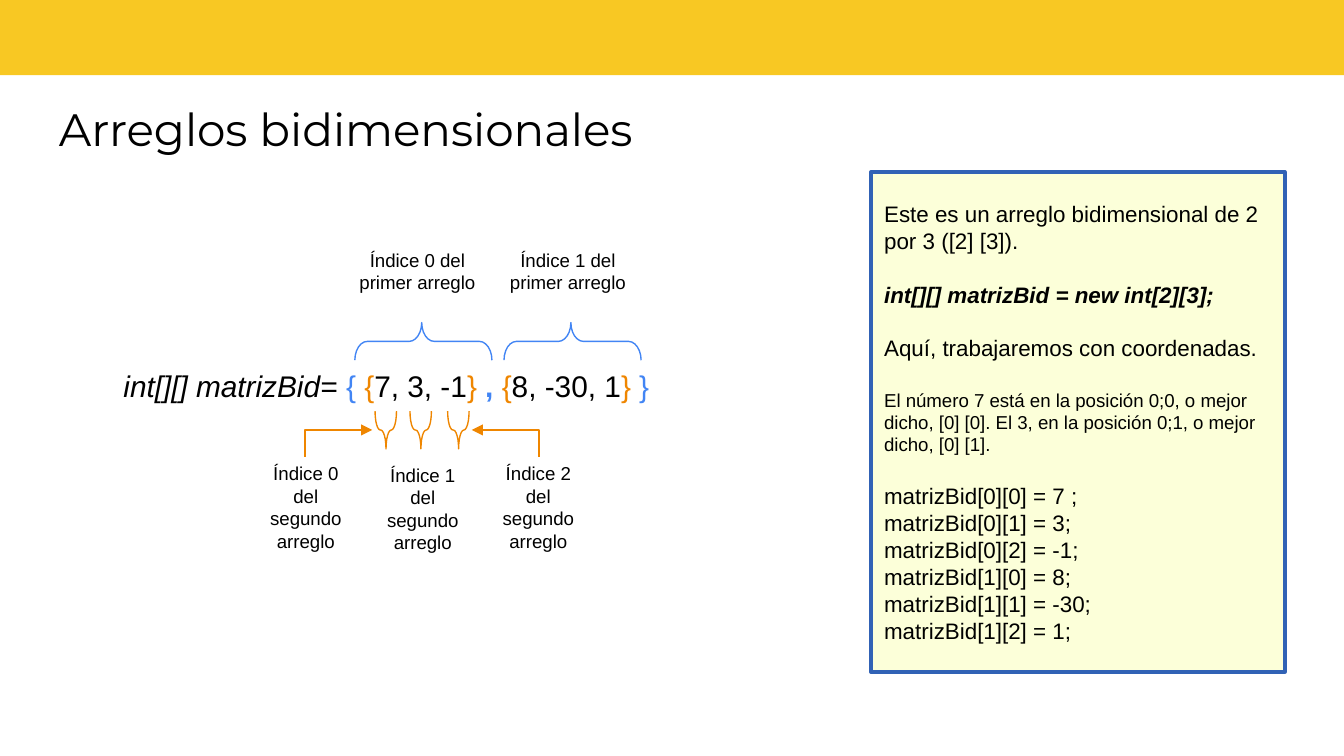
"""Build the slide on two-dimensional arrays, with index braces and an explanation panel."""
from dataclasses import dataclass

from lxml.etree import SubElement
from pptx import Presentation
from pptx.dml.color import RGBColor
from pptx.enum.shapes import MSO_CONNECTOR, MSO_SHAPE
from pptx.enum.text import MSO_ANCHOR, PP_ALIGN
from pptx.oxml.ns import qn
from pptx.util import Inches, Pt


@dataclass(frozen=True)
class Theme:
    black: RGBColor = RGBColor.from_string("000000")
    yellow: RGBColor = RGBColor.from_string("F8C823")
    cream: RGBColor = RGBColor.from_string("FCFFD9")
    navy: RGBColor = RGBColor.from_string("3162B5")
    blue: RGBColor = RGBColor.from_string("4285F4")
    orange: RGBColor = RGBColor.from_string("EF8600")
    title: float = 24.3
    code: float = 16
    body: float = 12
    small: float = 10
    gap: float = 14.4
    thin: float = 0.75
    thick: float = 2


theme = Theme()


def write(paragraph, text, size=theme.body, color=theme.black, font="Arial",
          bold=False, italic=False, align=PP_ALIGN.LEFT, before=0):
    paragraph.alignment = align
    paragraph.space_before = Pt(before)
    run = paragraph.add_run()
    run.text = text
    run.font.name = font
    run.font.size = Pt(size)
    run.font.color.rgb = color
    run.font.bold = bold
    run.font.italic = italic


def add_text_frame(left, top, width, height):
    frame = slide.shapes.add_textbox(
        Inches(left), Inches(top), Inches(width), Inches(height)).text_frame
    frame.word_wrap = True
    return frame


prs = Presentation()
prs.slide_width = Inches(10)
prs.slide_height = Inches(10 * 9 / 16)
slide = prs.slides.add_slide(prs.slide_layouts[6])

banner = slide.shapes.add_shape(
    MSO_SHAPE.RECTANGLE, Inches(-0.01), Inches(-0.05), Inches(10.03), Inches(0.61))
banner.shadow.inherit = False
banner.fill.solid()
banner.fill.fore_color.rgb = theme.yellow
banner.line.fill.background()

heading = add_text_frame(0.34, 0.65, 9.3, 0.63)
heading.margin_top = heading.margin_bottom = Inches(0.1)
write(heading.paragraphs[0], "Arreglos bidimensionales", size=theme.title, font="Montserrat")

declaration = add_text_frame(0.82, 2.69, 8.05, 0.64).paragraphs[0]
for text, color, bold, italic in [
    ("int[][] matrizBid= ", theme.black, False, True),
    ("{ ", theme.blue, False, False),
    ("{", theme.orange, False, False),
    ("7, 3, -1", theme.black, False, False),
    ("} ", theme.orange, False, False),
    (", ", theme.blue, True, False),
    ("{", theme.orange, False, False),
    ("8, -30, 1", theme.black, False, False),
    ("} ", theme.orange, False, False),
    ("}", theme.blue, False, False),
]:
    write(declaration, text, size=theme.code, color=color, bold=bold, italic=italic)

for left, top, span, rotation, color in [
    (3.01, 2.03, 1.02, 270, theme.blue),
    (4.12, 2.03, 1.02, 270, theme.blue),
    (2.73, 3.12, 0.16, 90, theme.orange),
    (2.99, 3.12, 0.16, 90, theme.orange),
    (3.27, 3.12, 0.16, 90, theme.orange),
]:
    brace = slide.shapes.add_shape(
        MSO_SHAPE.RIGHT_BRACE, Inches(left), Inches(top), Inches(0.28), Inches(span))
    brace.shadow.inherit = False
    brace.rotation = rotation
    brace.adjustments[0] = 0.333
    brace.adjustments[1] = 0.488
    brace.fill.background()
    brace.line.color.rgb = color
    brace.line.width = Pt(theme.thin)

for text, left, top, width, height in [
    ("Índice 0 del primer arreglo", 2.56, 1.8, 1.09, 0.44),
    ("Índice 1 del primer arreglo", 3.68, 1.8, 1.09, 0.44),
    ("Índice 0 del segundo arreglo", 1.9, 3.39, 0.75, 0.77),
    ("Índice 1 del segundo arreglo", 2.77, 3.4, 0.75, 0.77),
    ("Índice 2 del segundo arreglo", 3.63, 3.39, 0.75, 0.77),
]:
    index_label = add_text_frame(left, top, width, height).paragraphs[0]
    write(index_label, text, size=theme.small, align=PP_ALIGN.CENTER)

for begin_x, end_x, rotation in [(2.62, 2.42, 90), (3.66, 3.86, 270)]:
    arrow = slide.shapes.add_connector(
        MSO_CONNECTOR.ELBOW, Inches(begin_x), Inches(3.55), Inches(end_x), Inches(3.05))
    arrow.line.color.rgb = theme.orange
    arrow.line.width = Pt(theme.thin)
    properties = arrow.element.spPr
    properties.find(qn("a:prstGeom")).set("prst", "bentConnector2")
    properties.find(qn("a:xfrm")).set("rot", str(rotation * 60000))
    SubElement(properties.find(qn("a:ln")), qn("a:tailEnd"), type="triangle")
    SubElement(properties, qn("a:effectLst"))

panel = slide.shapes.add_shape(
    MSO_SHAPE.RECTANGLE, Inches(6.48), Inches(1.28), Inches(3.08), Inches(3.72))
panel.shadow.inherit = False
panel.fill.solid()
panel.fill.fore_color.rgb = theme.cream
panel.line.color.rgb = theme.navy
panel.line.width = Pt(theme.thick)
explanation = panel.text_frame
explanation.word_wrap = True
explanation.vertical_anchor = MSO_ANCHOR.MIDDLE

write(explanation.paragraphs[0], "Este es un arreglo bidimensional de 2 por 3 ([2] [3]).")
write(explanation.add_paragraph(), "int[][] matrizBid = new int[2][3];",
      bold=True, italic=True, before=theme.gap)
write(explanation.add_paragraph(), "Aquí, trabajaremos con coordenadas.", before=theme.gap)
write(explanation.add_paragraph(),
      "El número 7 está en la posición 0;0, o mejor dicho, [0] [0]. "
      "El 3, en la posición 0;1, o mejor dicho, [0] [1].",
      size=theme.small, before=theme.gap)
for position, value in enumerate(["7 ", "3", "-1", "8", "-30", "1"]):
    row, column = divmod(position, 3)
    write(explanation.add_paragraph(), f"matrizBid[{row}][{column}] = {value};",
          before=0 if position else theme.gap)

prs.save("out.pptx")
